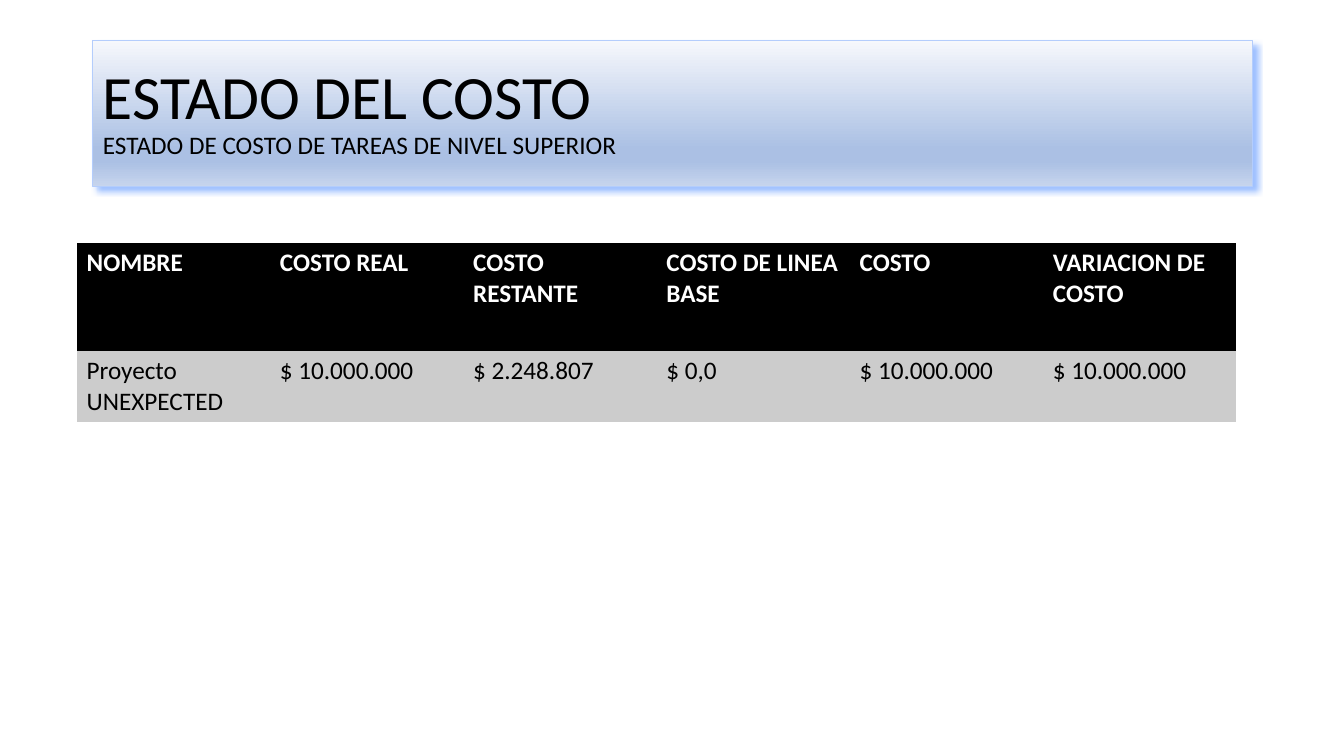
"""Build the cost status slide with a gradient title banner and a cost table."""
from lxml import etree
from pptx import Presentation
from pptx.dml.color import RGBColor
from pptx.enum.text import MSO_ANCHOR, MSO_AUTO_SIZE, PP_ALIGN
from pptx.oxml import parse_xml
from pptx.util import Inches, Pt

MIDDLE = MSO_ANCHOR.MIDDLE
NO_FIT = MSO_AUTO_SIZE.NONE
LEFT = PP_ALIGN.LEFT
NS = "http://schemas.openxmlformats.org/drawingml/2006/main"
PLAIN = "{2D5ABB26-0587-4C30-8999-92F81FD0307C}"
STOPS = [(0, "F6F8FC"), (74, "ABC0E4"), (83, "ABC0E4"), (100, "C7D5ED")]
ROWS = [
    ["NOMBRE", "COSTO REAL", "COSTO RESTANTE", "COSTO DE LINEA BASE",
     "COSTO", "VARIACION DE COSTO"],
    ["Proyecto UNEXPECTED", "$ 10.000.000", "$ 2.248.807", "$ 0,0",
     "$ 10.000.000", "$ 10.000.000"],
]
LOOKS = [(1.07, "000000", "FFFFFF", True), (0.62, "CCCCCC", "000000", False)]


def color(code):
    return RGBColor.from_string(code)


def style(run, size, code, bold=False):
    font = run.font
    font.name, font.size, font.bold = "Calibri", Pt(size), bold
    font.color.rgb = color(code)


deck = Presentation()
deck.slide_width, deck.slide_height = Inches(13.33), Inches(7.5)
slide = deck.slides.add_slide(deck.slide_layouts[5])

title = slide.shapes.title
title.left, title.top = Inches(0.92), Inches(0.4)
title.width, title.height = Inches(11.5), Inches(1.45)
frame = title.text_frame
frame.text = "ESTADO DEL COSTO\vESTADO DE COSTO DE TAREAS DE NIVEL SUPERIOR"
frame.vertical_anchor = MIDDLE
frame.auto_size = NO_FIT
frame.word_wrap = True
para = frame.paragraphs[0]
para.alignment = LEFT
para.line_spacing = 0.9
for run, size in zip(para.runs, (44, 18)):
    style(run, size, "000000")

stops = "".join(
    f'<a:gs pos="{pos * 1000}"><a:srgbClr val="{code}"/></a:gs>'
    for pos, code in STOPS)
props = title.element.spPr
for xml in (
    f'<a:prstGeom xmlns:a="{NS}" prst="rect"><a:avLst/></a:prstGeom>',
    f'<a:gradFill xmlns:a="{NS}"><a:gsLst>{stops}</a:gsLst>'
    '<a:lin ang="5400000" scaled="0"/></a:gradFill>',
    f'<a:ln xmlns:a="{NS}" w="9525"><a:solidFill><a:srgbClr val="B4CDFC"/>'
    '</a:solidFill></a:ln>',
    f'<a:effectLst xmlns:a="{NS}"><a:outerShdw blurRad="50800" dist="50800"'
    ' dir="2700000" algn="tl" rotWithShape="0"><a:srgbClr val="9FC1FF"/>'
    '</a:outerShdw></a:effectLst>',
):
    props.append(parse_xml(xml))

holder = slide.shapes.add_table(
    2, 6, Inches(0.76), Inches(2.41), Inches(11.5), Inches(1.69))
table = holder.table
ident = holder.element.find(f".//{{{NS}}}tableStyleId")
ident.text = PLAIN
for col in table.columns:
    col.width = Inches(11.5 / 6)
for row, texts, (height, fill, ink, bold) in zip(table.rows, ROWS, LOOKS):
    row.height = Inches(height)
    for cell, text in zip(row.cells, texts):
        cell.text_frame.text = text
        cell.fill.solid()
        cell.fill.fore_color.rgb = color(fill)
        style(cell.text_frame.paragraphs[0].runs[0], 18, ink, bold)

etree.cleanup_namespaces(props)
deck.save("out.pptx")
